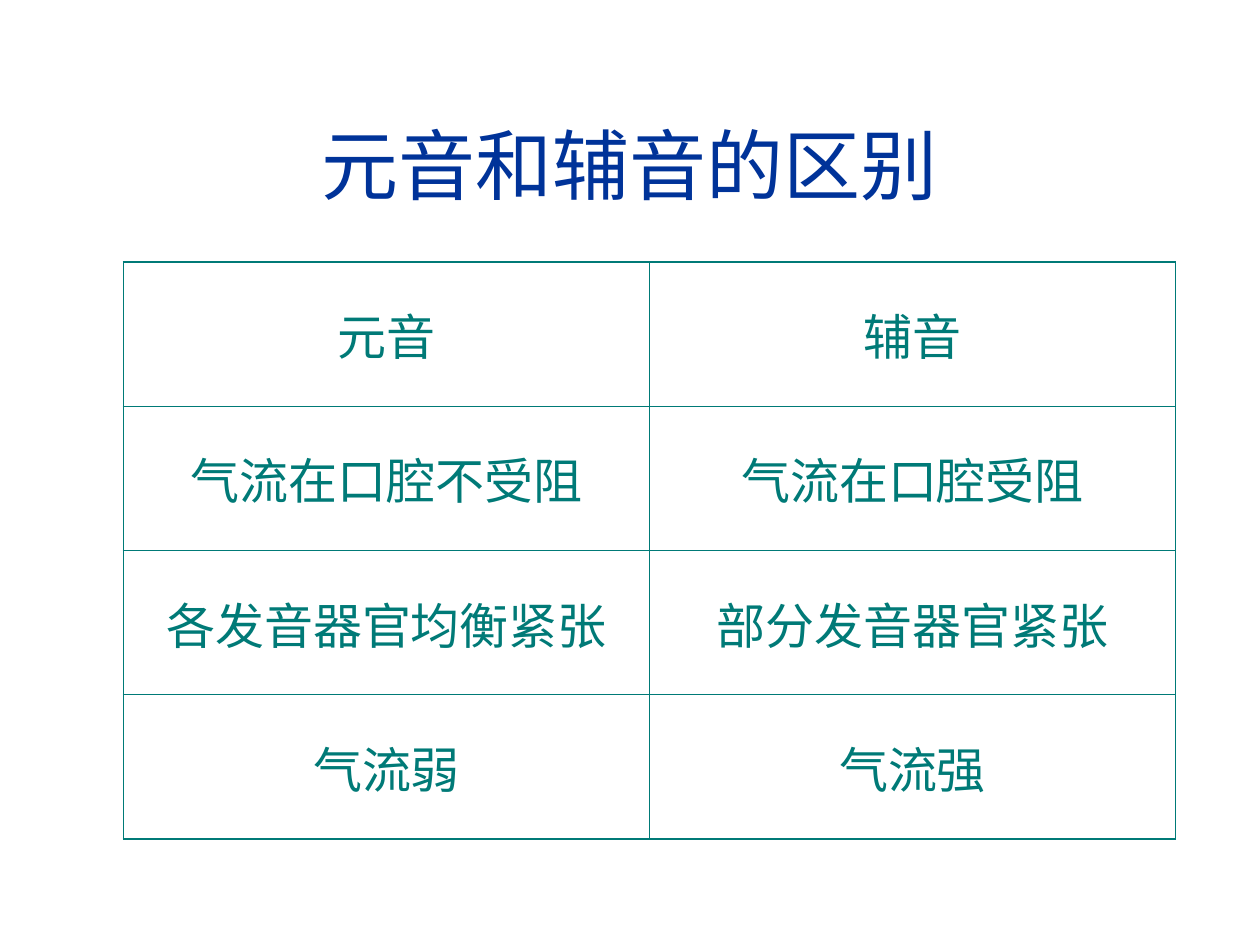
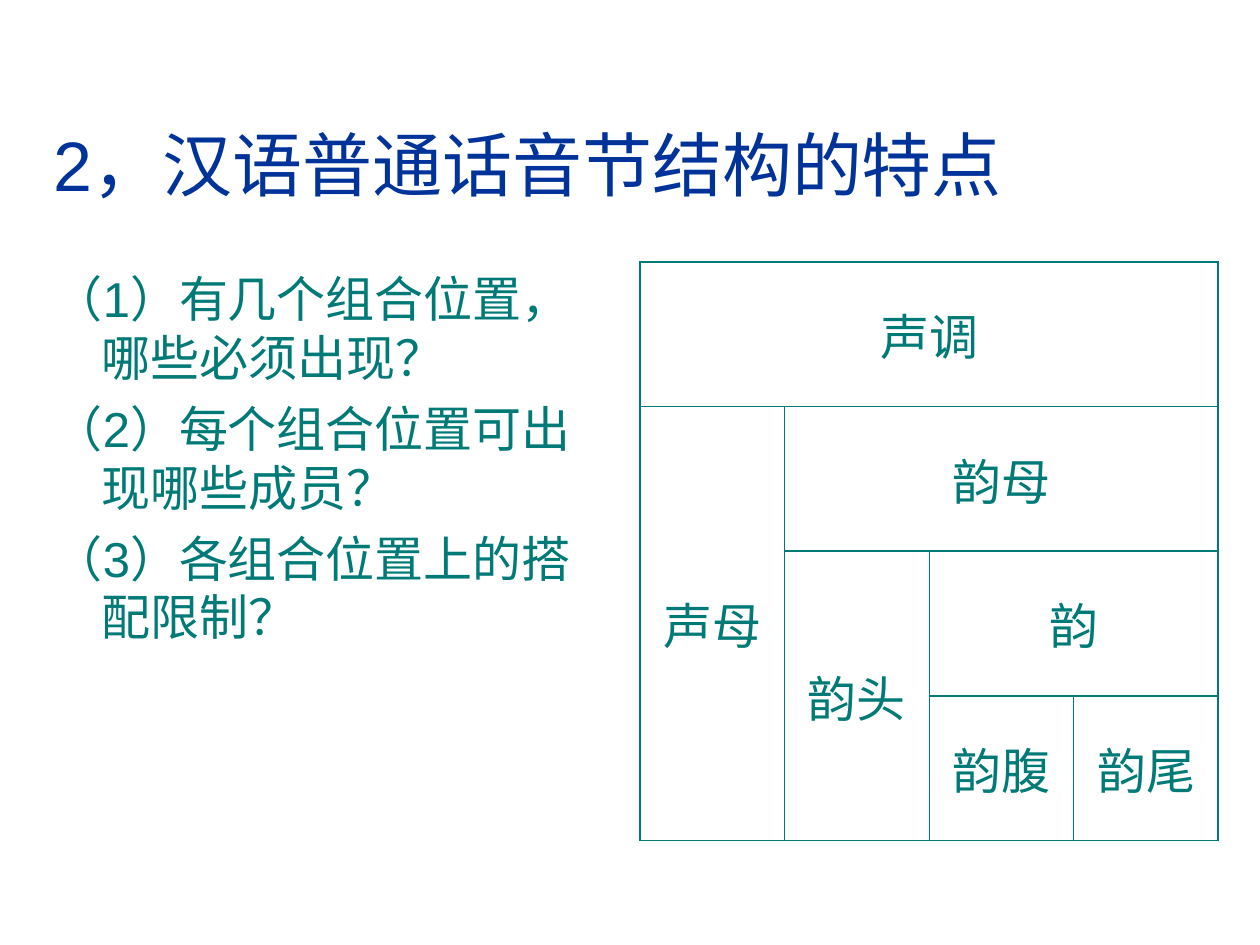
from dataclasses import dataclass
from itertools import product

from lxml.etree import SubElement
from pptx import Presentation
from pptx.dml.color import RGBColor
from pptx.enum.lang import MSO_LANGUAGE_ID
from pptx.enum.text import MSO_ANCHOR, PP_ALIGN
from pptx.oxml.ns import qn
from pptx.util import Inches, Pt


@dataclass(frozen=True)
class Theme:
    """Colours, type sizes and line widths shared by the slides."""

    font: str = "Arial"
    title_color: str = "003399"
    text_color: str = "007A77"
    title_size: float = 44
    long_title_size: float = 40
    text_size: float = 28
    paragraph_gap: float = 7
    heavy: float = 1.08
    light: float = 0.45
    no_table_style: str = "{2D5ABB26-0587-4C30-8999-92F81FD0307C}"


@dataclass(frozen=True)
class Box:
    """A region of the slide in inches."""

    left: float
    top: float
    width: float
    height: float

    def lengths(self):
        """Return the region as four lengths."""
        return [Inches(value) for value in (self.left, self.top, self.width, self.height)]


THEME = Theme()
TITLE_BOX = Box(0.33, 0.67, 9.34, 1.25)
COMPARISON_BOX = Box(0.98, 2.08, 8.35, 4.58)
QUESTIONS_BOX = Box(0.33, 2.08, 4.59, 4.59)
SYLLABLE_BOX = Box(5.08, 2.08, 4.59, 4.59)

COMPARISON_ROWS = [
    ("元音", "辅音"),
    ("气流在口腔不受阻", "气流在口腔受阻"),
    ("各发音器官均衡紧张", "部分发音器官紧张"),
    ("气流弱", "气流强"),
]
QUESTIONS = [
    "（1）有几个组合位置，哪些必须出现？",
    "（2）每个组合位置可出现哪些成员？",
    "（3）各组合位置上的搭配限制？",
]
SYLLABLE_PARTS = [
    ("声调", 0, 0, 1, 4),
    ("声母", 1, 0, 3, 1),
    ("韵母", 1, 1, 1, 3),
    ("韵头", 2, 1, 2, 1),
    ("韵", 2, 2, 1, 2),
    ("韵腹", 3, 2, 1, 1),
    ("韵尾", 3, 3, 1, 1),
]


def style_paragraph(paragraph, size, color, alignment):
    """Format every run of a paragraph."""
    paragraph.alignment = alignment
    for run in paragraph.runs:
        run.font.name = THEME.font
        run.font.size = Pt(size)
        run.font.color.rgb = RGBColor.from_string(color)
        run.font.language_id = MSO_LANGUAGE_ID.SIMPLIFIED_CHINESE


def add_text_frame(slide, box, anchor):
    """Add a wrapping text box and return its frame."""
    text_frame = slide.shapes.add_textbox(*box.lengths()).text_frame
    text_frame.word_wrap = True
    text_frame.vertical_anchor = anchor
    return text_frame


def add_title(slide, box, text, size, alignment):
    """Add the slide title."""
    text_frame = add_text_frame(slide, box, MSO_ANCHOR.MIDDLE)
    text_frame.text = text
    style_paragraph(text_frame.paragraphs[0], size, THEME.title_color, alignment)


def add_questions(slide, box, questions):
    """Add the questions with hanging indents."""
    text_frame = add_text_frame(slide, box, MSO_ANCHOR.TOP)
    text_frame.text = "\n".join(questions)
    for index, paragraph in enumerate(text_frame.paragraphs):
        properties = paragraph._p.get_or_add_pPr()
        properties.set("marL", str(Inches(0.38)))
        properties.set("indent", str(-Inches(0.38)))
        if index:
            paragraph.space_before = Pt(THEME.paragraph_gap)
        style_paragraph(paragraph, THEME.text_size, THEME.text_color, PP_ALIGN.LEFT)


def set_borders(cell, widths):
    """Draw the given sides of a cell, in left, right, top, bottom order."""
    properties = cell._tc.get_or_add_tcPr()
    for side, width in widths.items():
        line = SubElement(properties, qn(f"a:ln{side}"), w=str(Pt(width)))
        fill = SubElement(line, qn("a:solidFill"))
        SubElement(fill, qn("a:srgbClr"), val=THEME.text_color)
    cell.fill.background()


def add_part(table, part, row_line, bottom_line):
    """Fill one cell or merged block and draw its outline."""
    text, top, left, height, width = part
    bottom, right = top + height - 1, left + width - 1
    last_row, last_column = len(table.rows) - 1, len(table.columns) - 1
    origin = table.cell(top, left)
    if height * width > 1:
        origin.merge(table.cell(bottom, right))
    origin.text_frame.text = text
    origin.vertical_anchor = MSO_ANCHOR.MIDDLE
    style_paragraph(
        origin.text_frame.paragraphs[0], THEME.text_size, THEME.text_color, PP_ALIGN.CENTER
    )
    outline = {
        "L": THEME.light if left else THEME.heavy,
        "R": THEME.light if right < last_column else THEME.heavy,
        "T": row_line if top else THEME.heavy,
        "B": row_line if bottom < last_row else bottom_line,
    }
    for row, column in product(range(top, bottom + 1), range(left, right + 1)):
        at_edge = {"L": column == left, "R": column == right, "T": row == top, "B": row == bottom}
        is_origin = (row, column) == (top, left)
        widths = {side: width for side, width in outline.items() if is_origin or at_edge[side]}
        set_borders(table.cell(row, column), widths)


def add_grid(slide, box, row_count, column_count, parts, row_line, bottom_line):
    """Add an evenly divided table made of the given parts."""
    table = slide.shapes.add_table(row_count, column_count, *box.lengths()).table
    table.first_row = table.horz_banding = False
    table._tbl.tblPr.find(qn("a:tableStyleId")).text = THEME.no_table_style
    for part in parts:
        add_part(table, part, row_line, bottom_line)


def build_comparison_slide(slide):
    """Compare vowels and consonants."""
    add_title(slide, TITLE_BOX, "元音和辅音的区别", THEME.title_size, PP_ALIGN.CENTER)
    parts = [
        (text, row, column, 1, 1)
        for row, texts in enumerate(COMPARISON_ROWS)
        for column, text in enumerate(texts)
    ]
    add_grid(slide, COMPARISON_BOX, 4, 2, parts, THEME.light, THEME.heavy)


def build_syllable_slide(slide):
    """Show questions beside the structure of a syllable."""
    add_title(
        slide, TITLE_BOX, "2，汉语普通话音节结构的特点", THEME.long_title_size, PP_ALIGN.LEFT
    )
    add_questions(slide, QUESTIONS_BOX, QUESTIONS)
    add_grid(slide, SYLLABLE_BOX, 4, 4, SYLLABLE_PARTS, THEME.heavy, THEME.light)


def main():
    """Build and save the presentation."""
    presentation = Presentation()
    presentation.slide_width = Inches(10)
    presentation.slide_height = Inches(7.5)
    for build in (build_comparison_slide, build_syllable_slide):
        build(presentation.slides.add_slide(presentation.slide_layouts[6]))
    presentation.save("out.pptx")


if __name__ == "__main__":
    main()
